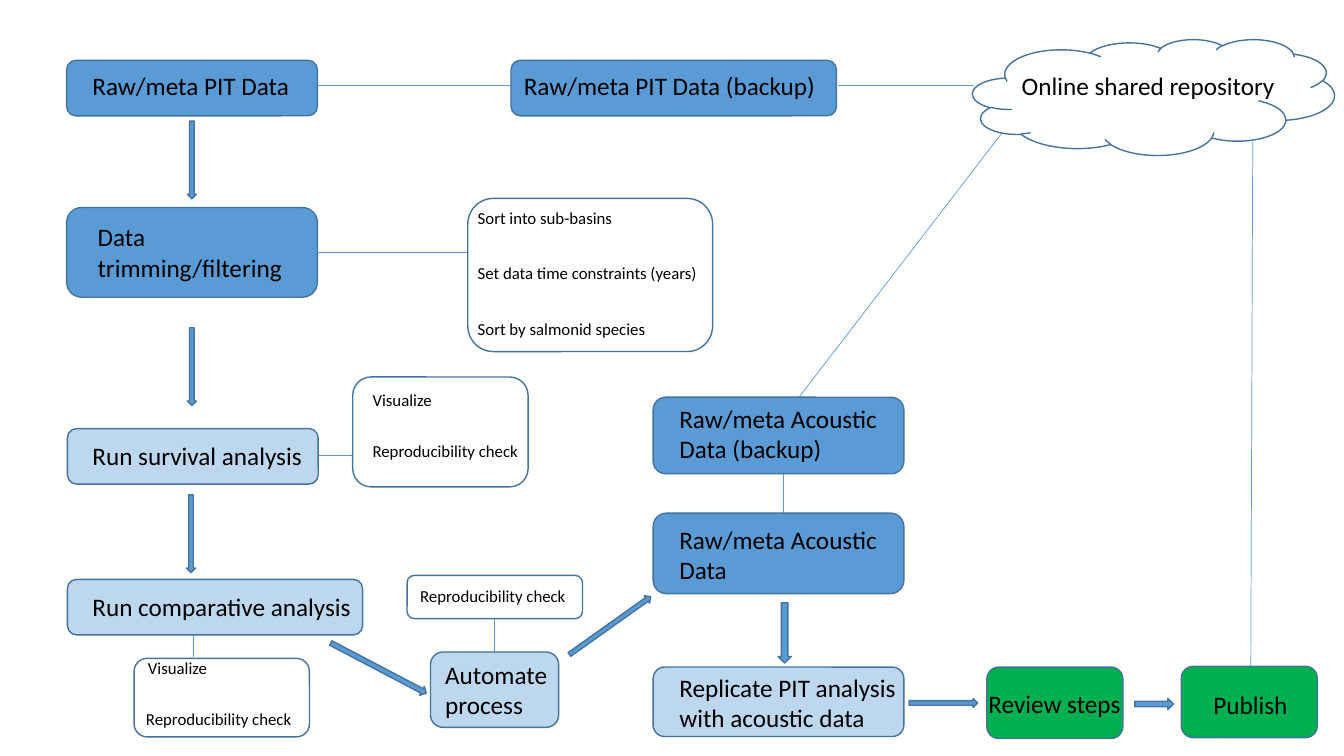
"""Flowchart of the PIT and acoustic data analysis workflow."""
from lxml import etree
from pptx import Presentation
from pptx.dml.color import RGBColor
from pptx.enum.shapes import MSO_CONNECTOR, MSO_SHAPE
from pptx.enum.text import MSO_AUTO_SIZE
from pptx.oxml.ns import qn
from pptx.util import Cm, Pt

ROUND = MSO_SHAPE.ROUNDED_RECTANGLE
CLOUD = MSO_SHAPE.CLOUD
DOWN = MSO_SHAPE.DOWN_ARROW
RIGHT = MSO_SHAPE.RIGHT_ARROW
STRAIGHT = MSO_CONNECTOR.STRAIGHT
FIT_TEXT = MSO_AUTO_SIZE.SHAPE_TO_FIT_TEXT

BLUE = RGBColor(0x5B, 0x9B, 0xD5)
PALE = RGBColor(0xBD, 0xD7, 0xEE)
GREEN = RGBColor(0x00, 0xB0, 0x50)
WHITE = RGBColor(0xFF, 0xFF, 0xFF)
BLACK = RGBColor(0x00, 0x00, 0x00)
OUTLINE = RGBColor(0x43, 0x73, 0x9E)

STEP_W, STEP_H = 6.32, 1.4
END_W, END_H = 3.43, 1.8
NOTE_W = 4.42
ARROW_T, ARROW_L = 0.23, 1.96
LABEL_W = 9.3

LINKS = [
    (4.88, 15.72, 4.88, 16.56),
    (31.57, 3.58, 31.52, 17.25),
    (12.95, 2.16, 7.62, 2.16),
    (7.49, 6.35, 11.79, 6.35),
    (8.89, 11.48, 7.98, 11.48),
    (19.74, 13.08, 19.74, 11.84),
    (20.12, 10.03, 25.25, 3.35),
    (21.13, 2.16, 24.54, 2.16),
    (12.47, 15.6, 12.47, 16.46),
]
BOXES = [
    (ROUND, 12.88, 1.52, 8.2, STEP_H, BLUE),
    (ROUND, 29.77, 16.79, END_W, END_H, GREEN),
    (ROUND, 24.87, 16.81, END_W, END_H, GREEN),
    (ROUND, 16.46, 16.81, STEP_W, 1.75, PALE),
    (ROUND, 16.46, 12.93, STEP_W, 2.03, BLUE),
    (ROUND, 16.46, 10.01, STEP_W, 1.93, BLUE),
    (ROUND, 10.85, 16.43, 3.23, 1.9, PALE),
    (ROUND, 1.7, 14.6, 7.44, STEP_H, PALE),
    (ROUND, 1.7, 10.8, STEP_W, STEP_H, PALE),
    (ROUND, 1.68, 5.23, STEP_W, 2.26, BLUE),
    (ROUND, 1.68, 1.52, STEP_W, STEP_H, BLUE),
    (CLOUD, 24.51, 0.99, 9.12, 2.92, WHITE),
    (ROUND, 11.79, 5, 6.17, 3.86, None),
    (ROUND, 8.89, 9.5, NOTE_W, 2.77, None),
    (ROUND, 3.38, 16.59, NOTE_W, 1.98, None),
    (ROUND, 10.26, 14.5, NOTE_W, 1.09, None),
]
ARROWS = [
    (DOWN, 4.72, 3.05, ARROW_T, ARROW_L, BLUE),
    (DOWN, 4.72, 8.26, ARROW_T, ARROW_L, BLUE),
    (DOWN, 4.7, 12.47, ARROW_T, ARROW_L, BLUE),
    (RIGHT, 8.18, 16.71, 2.72, 0.25, BLUE, 27.7),
    (RIGHT, 14.12, 15.65, 2.51, ARROW_T, BLUE, 324.6),
    (DOWN, 19.61, 15.19, 0.33, 1.52, BLUE),
    (RIGHT, 22.91, 17.6, 1.73, ARROW_T, BLUE),
    (RIGHT, 28.6, 17.6, 0.97, 0.28, BLUE),
]
STEP_LABELS = [
    ("Raw/meta PIT Data", 2.08, 1.65, 5.54, 1.02),
    ("Raw/meta PIT Data (backup)", 12.95, 1.65, 8.31, 1.02),
    ("Data trimming/filtering", 2.21, 5.46, 5.28, 1.8),
    ("Run survival analysis", 2.08, 10.97, LABEL_W, 1.02),
    ("Run comparative analysis", 2.08, 14.78, LABEL_W, 1.02),
    ("Raw/meta Acoustic Data", 16.87, 13.08, 6.5, 1.8),
    ("Automate process", 10.97, 16.48, 4.78, 1.8),
    ("Raw/meta Acoustic Data (backup)", 16.87, 10.03, 6.5, 1.8),
    ("Replicate PIT analysis with acoustic data", 16.87, 16.81, 6.5, 1.8),
    ("Online shared repository", 25.5, 1.65, 7.92, 1.02),
    ("Review steps", 24.66, 17.22, 5, 1.02),
    ("Publish", 30.33, 17.25, 3.3, 1.02),
]
NOTE_LABELS = [
    ("Sort into sub-basins", 11.79, 5.11, 5.82, 0.76),
    ("Set data time constraints (years)", 11.79, 6.5, LABEL_W, 0.76),
    ("Sort by salmonid species", 11.79, 7.9, LABEL_W, 0.76),
    ("Visualize", 9.14, 9.7, 2.77, 0.76),
    ("Reproducibility check", 9.14, 10.97, 5.08, 0.76),
    ("Visualize", 3.48, 16.46, LABEL_W, 0.76),
    ("Reproducibility check", 3.43, 17.73, 5.56, 0.76),
    ("Reproducibility check", 10.34, 14.63, 5.56, 0.76),
]


class Flowchart:
    """Draws flowchart elements in one style on the current slide."""

    def __init__(self, slide):
        self.shapes = slide.shapes
        self.font = {"name": "Calibri"}
        self.frame = {"word_wrap": True, "auto_size": FIT_TEXT}

    def link(self, x1, y1, x2, y2):
        sp = self.shapes.add_connector(STRAIGHT, Cm(x1), Cm(y1), Cm(x2), Cm(y2))
        sp.line.color.rgb = BLUE
        sp.line.width = Pt(0.5)
        etree.SubElement(sp._element.spPr, qn("a:effectLst"))

    def shape(self, kind, x, y, w, h, fill, rotation=0):
        sp = self.shapes.add_shape(kind, Cm(x), Cm(y), Cm(w), Cm(h))
        sp.shadow.inherit = False
        sp.rotation = rotation
        if fill is None:
            sp.fill.background()
        else:
            sp.fill.solid()
            sp.fill.fore_color.rgb = fill
        sp.line.color.rgb = OUTLINE
        sp.line.width = Pt(1)

    def label(self, text, x, y, w, h, size):
        tf = self.shapes.add_textbox(Cm(x), Cm(y), Cm(w), Cm(h)).text_frame
        for name, value in self.frame.items():
            setattr(tf, name, value)
        r = tf.paragraphs[0].add_run()
        r.text = text
        for name, value in {**self.font, "size": Pt(size)}.items():
            setattr(r.font, name, value)
        r.font.color.rgb = BLACK


def main():
    prs = Presentation()
    prs.slide_width, prs.slide_height = Cm(33.87), Cm(19.05)
    chart = Flowchart(prs.slides.add_slide(prs.slide_layouts[6]))
    for link in LINKS:
        chart.link(*link)
    for shape in BOXES + ARROWS:
        chart.shape(*shape)
    for size, labels in ((18, STEP_LABELS), (12, NOTE_LABELS)):
        for label in labels:
            chart.label(*label, size)
    prs.save("out.pptx")


if __name__ == "__main__":
    main()
